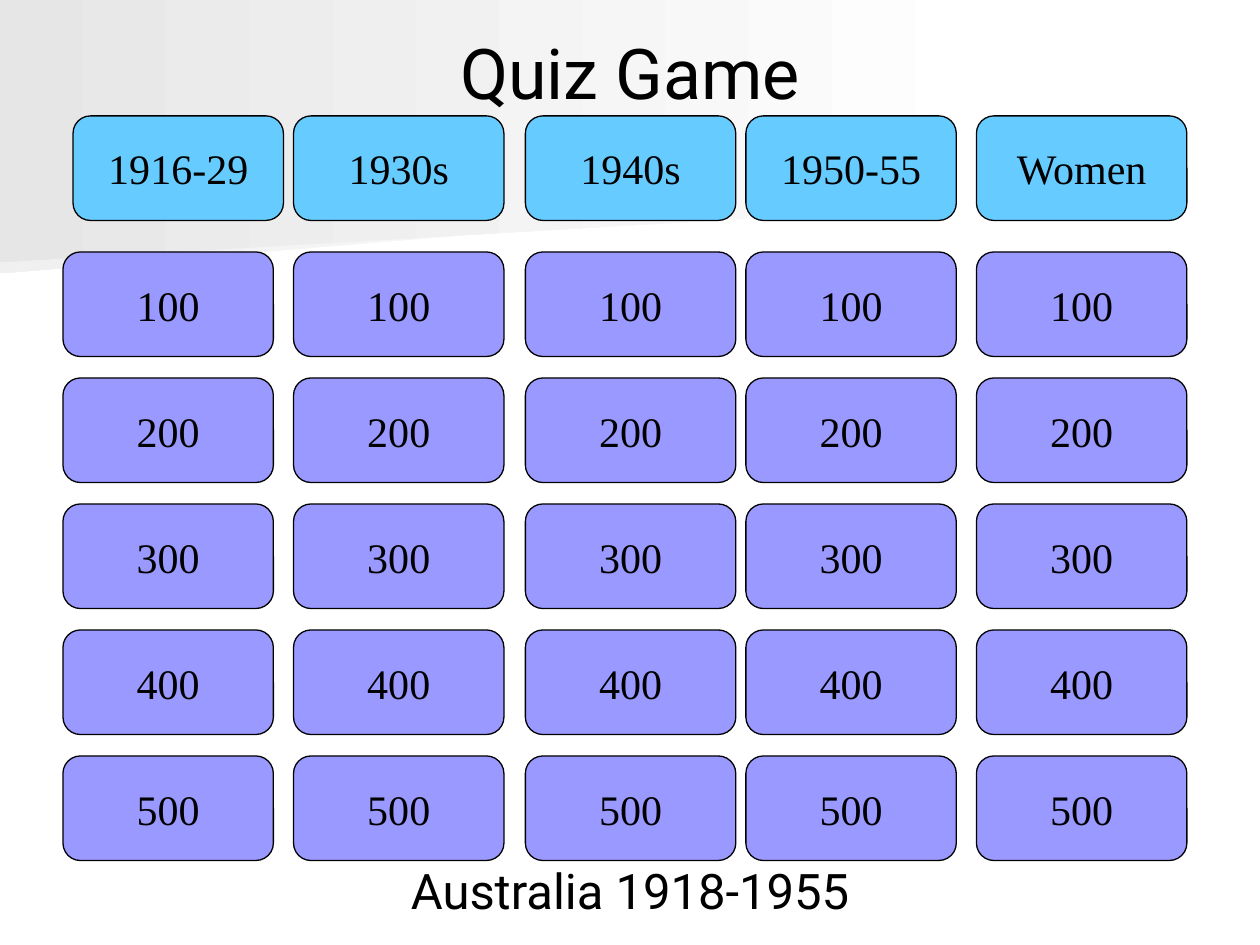
"""Build a quiz board slide with five categories and five point values each."""
import pptx
import pptx.dml.color
import pptx.enum.shapes
import pptx.enum.text
import pptx.util

Inches = pptx.util.Inches


def color(value):
    return pptx.dml.color.RGBColor.from_string(value)


def write(shape, text, size, font):
    frame = shape.text_frame
    frame.vertical_anchor = pptx.enum.text.MSO_ANCHOR.MIDDLE
    para = frame.paragraphs[0]
    para.alignment = pptx.enum.text.PP_ALIGN.CENTER
    span = para.add_run()
    span.text = text
    span.font.size = pptx.util.Pt(size)
    span.font.name = font
    span.font.color.rgb = color("000000")


deck = pptx.Presentation()
deck.slide_width = Inches(10)
deck.slide_height = Inches(7.5)
page = deck.slides.add_slide(deck.slide_layouts[5])

bands = [
    ([(7.78, 1.53), (0, 2.17), (0, 1.01), (7.79, 1.01), (7.78, 1.28)], "F0F0F0"),
    ([(7.92, 1.62), (0, 2.08), (0, 0), (7.92, 0)], "E6E6E6"),
]
for corners, shade in bands:
    points = [(Inches(x), Inches(y)) for x, y in corners]
    builder = page.shapes.build_freeform(*points[0])
    builder.add_line_segments(points[1:], close=True)
    band = builder.convert_to_shape()
    band.shadow.inherit = False
    band.line.fill.background()
    band.fill.gradient()
    band.fill.gradient_angle = 180
    for stop, tone, position in zip(band.fill.gradient_stops, ("FFFFFF", shade), (0, 1)):
        stop.color.rgb = color(tone)
        stop.position = position

title = page.shapes.title
title.element.getparent().append(title.element)
title.left, title.top = Inches(0.5), Inches(0.3)
title.width, title.height = Inches(9), Inches(0.53)
title.text_frame.auto_size = pptx.enum.text.MSO_AUTO_SIZE.NONE
title.text_frame.margin_top = title.text_frame.margin_bottom = 0
write(title, "Quiz Game", 40, "Roboto")

categories = ["1916-29", "1930s", "1940s", "1950-55", "Women"]
column_lefts = [0.5, 2.33, 4.17, 5.92, 7.75]
tiles = [(0.58, 0.92, categories[0], "66CCFF")]
tiles += [(left, 0.92, name, "66CCFF") for left, name in zip(column_lefts[1:], categories[1:])]
tiles += [(left, 1 + row, str(100 * row), "9999FF") for left in column_lefts for row in range(1, 6)]

for left, top, label, fill in tiles:
    tile = page.shapes.add_shape(
        pptx.enum.shapes.MSO_SHAPE.FLOWCHART_ALTERNATE_PROCESS,
        Inches(left), Inches(top), Inches(1.67), Inches(0.83))
    tile.shadow.inherit = False
    tile.fill.solid()
    tile.fill.fore_color.rgb = color(fill)
    tile.line.color.rgb = color("000000")
    tile.line.width = pptx.util.Pt(0.75)
    tile.text_frame.word_wrap = False
    write(tile, label, 24, "Times New Roman")

footer = page.shapes.add_textbox(Inches(0.5), Inches(6.8), Inches(9), Inches(0.53))
footer.text_frame.word_wrap = True
write(footer, "Australia 1918-1955", 28, "Roboto")

deck.save("out.pptx")
